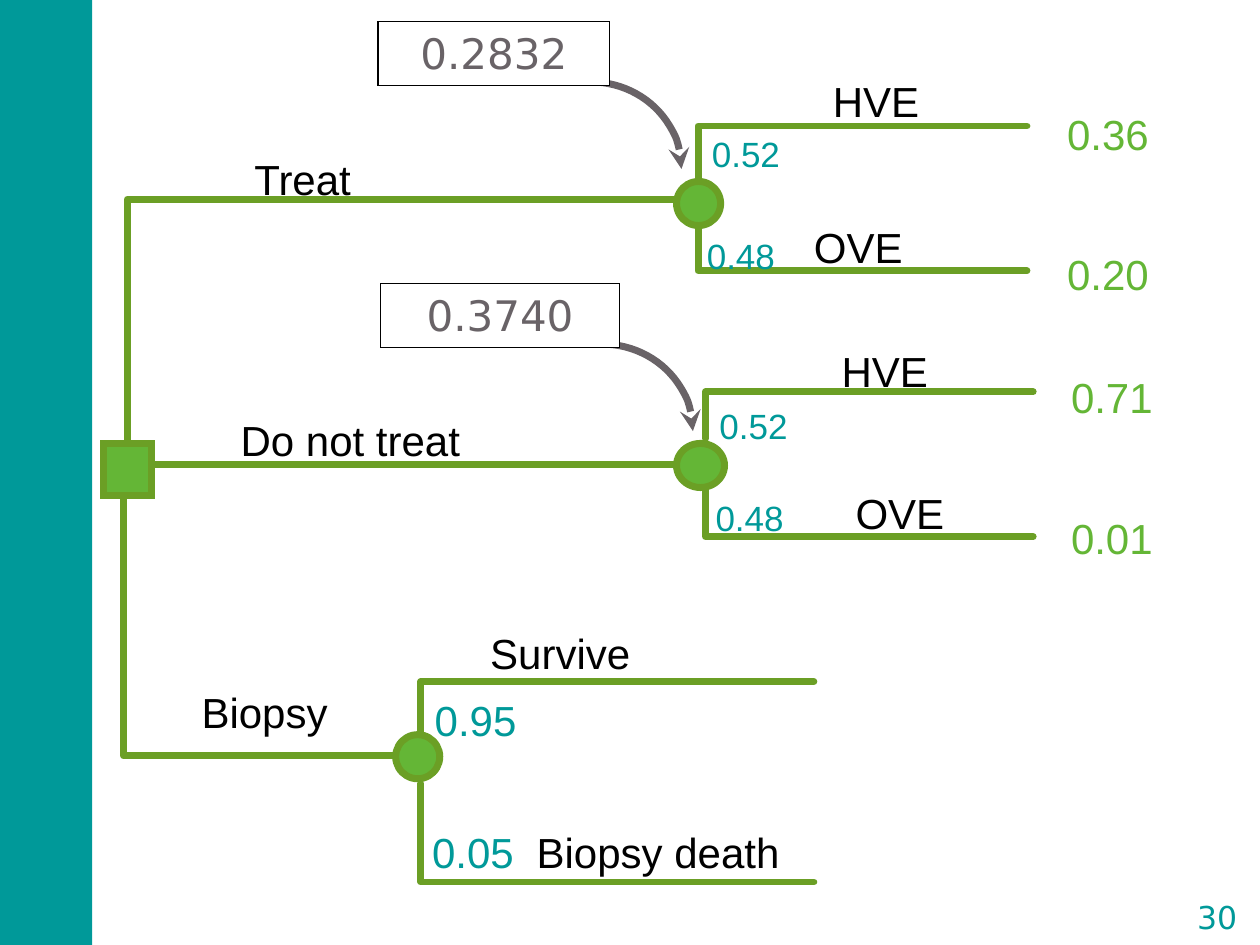
from typing import NamedTuple

from lxml.etree import SubElement
from pptx import Presentation
from pptx.dml.color import RGBColor
from pptx.enum.shapes import MSO_SHAPE
from pptx.enum.text import MSO_ANCHOR, MSO_AUTO_SIZE, PP_ALIGN
from pptx.oxml.ns import qn
from pptx.util import Pt

COLORS = {
    "teal": "009999", "line": "6B9F25", "node": "64B636",
    "grey": "696367", "black": "000000", "white": "FFFFFF",
}


class Elbow(NamedTuple):
    x: float
    start: float
    end: float
    right: float


class Node(NamedTuple):
    kind: MSO_SHAPE
    x: float
    y: float
    w: float
    h: float


class Label(NamedTuple):
    text: str
    x: float
    y: float
    w: float
    color: str = "black"
    size: int = 24
    wrap: bool = True


class Result(NamedTuple):
    text: str
    x: float
    y: float
    w: float
    arc_x: float
    arc_y: float


ELBOWS = [
    # Choices
    Elbow(68.4, 275.8, 265.7, 406.1),
    Elbow(70.6, 275.8, 432, 231.1),
    Elbow(72.7, 272.9, 113.8, 403.2),
    # Outcomes
    Elbow(398.9, 102.2, 72, 586.8),
    Elbow(398.9, 116.6, 154.8, 586.8),
    Elbow(403.2, 250.6, 223.9, 590.4),
    Elbow(403.2, 267.8, 306.7, 590.4),
    Elbow(240.5, 422.6, 389.5, 465.1),
    Elbow(240.5, 447.8, 504, 465.1),
]

NODES = [
    Node(MSO_SHAPE.RECTANGLE, 59, 253.4, 27.4, 29.5),
    Node(MSO_SHAPE.OVAL, 386.6, 103.7, 25.2, 25.2),
    Node(MSO_SHAPE.OVAL, 386.6, 253.4, 27.4, 25.2),
    Node(MSO_SHAPE.OVAL, 226.1, 419.8, 25.2, 25.2),
]

LABELS = [
    # Choices
    Label("Treat", 141.1, 85.7, 64.8, wrap=False),
    Label("Do not treat", 133.2, 234.7, 148.3),
    Label("Biopsy", 110.9, 390.2, 81.4, wrap=False),
    # Outcomes
    Label("HVE", 471.6, 41, 59, wrap=False),
    Label("OVE", 460.8, 124.6, 74.9),
    Label("HVE", 476.6, 195.1, 59, wrap=False),
    Label("OVE", 484.6, 276.5, 74.9),
    Label("Survive", 275.8, 356.4, 126),
    Label("Biopsy death", 302.4, 470.2, 149, wrap=False),
    # Probabilities
    Label("0.52", 402.5, 73.4, 62.6, "teal", 20),
    Label("0.48", 399.6, 131.8, 52.6, "teal", 20),
    Label("0.52", 406.8, 229, 48.2, "teal", 20),
    Label("0.48", 404.6, 281.5, 55.4, "teal", 20),
    Label("0.95", 244.1, 394.6, 71.3, "teal"),
    Label("0.05", 242.6, 470.2, 72.7, "teal"),
    # Utilities
    Label("0.36", 605.5, 59.8, 61.2, "node"),
    Label("0.20", 605.5, 139.7, 61.2, "node"),
    Label("0.71", 607.7, 210.2, 61.2, "node"),
    Label("0.01", 607.7, 290.9, 61.2, "node"),
]

RESULTS = [
    Result("0.2832", 216, 12.2, 132.5, 285.8, 46.8),
    Result("0.3740", 217.4, 162, 136.8, 292.3, 196.6),
]


def style(shape, fill=None, line=None, width=4.0, join="miter", tail=None) -> None:
    shape.shadow.inherit = False
    if fill:
        shape.fill.solid()
        shape.fill.fore_color.rgb = RGBColor.from_string(COLORS[fill])
    else:
        shape.fill.background()
    if not line:
        shape.line.fill.background()
        return
    shape.line.color.rgb = RGBColor.from_string(COLORS[line])
    shape.line.width = Pt(width)
    ln = shape.line._get_or_add_ln()
    if join == "round":
        ln.set("cap", "rnd")
    SubElement(ln, qn("a:" + join))
    if tail:
        SubElement(ln, qn("a:tailEnd")).set("type", tail)


def write(shape, text: str, *, color="black", size=24, font="Arial", wrap=True,
          align=PP_ALIGN.LEFT, anchor=MSO_ANCHOR.TOP, pad=(4.3, 2.2),
          fit=MSO_AUTO_SIZE.SHAPE_TO_FIT_TEXT) -> None:
    frame = shape.text_frame
    frame.word_wrap = wrap
    frame.auto_size = fit
    frame.vertical_anchor = anchor
    frame.margin_left = frame.margin_right = Pt(pad[0])
    frame.margin_top = frame.margin_bottom = Pt(pad[1])
    para = frame.paragraphs[0]
    para.alignment = align
    run = para.add_run()
    run.text = text
    run.font.name = font
    run.font.size = Pt(size)
    run.font.color.rgb = RGBColor.from_string(COLORS[color])


def put(shapes, kind: MSO_SHAPE, x: float, y: float, w: float, h: float):
    return shapes.add_shape(kind, Pt(x), Pt(y), Pt(w), Pt(h))


def draw_elbow(shapes, elbow: Elbow) -> None:
    pen = shapes.build_freeform(Pt(elbow.x), Pt(elbow.start))
    pen.add_line_segments(
        [(Pt(elbow.x), Pt(elbow.end)), (Pt(elbow.right), Pt(elbow.end))],
        close=False)
    style(pen.convert_to_shape(), line="line", join="round")


def draw_label(shapes, label: Label) -> None:
    box = shapes.add_textbox(Pt(label.x), Pt(label.y), Pt(label.w),
                             Pt(label.size * 1.2 + 4.4))
    write(box, label.text, color=label.color, size=label.size, wrap=label.wrap)


def draw_result(shapes, item: Result) -> None:
    arc = put(shapes, MSO_SHAPE.ARC, item.arc_x, item.arc_y, 103.7, 99.4)
    style(arc, line="grey", tail="stealth")
    box = put(shapes, MSO_SHAPE.RECTANGLE, item.x, item.y, item.w, 36.7)
    style(box, "white", "black", 0.75)
    write(box, item.text, color="grey", font="DejaVu Sans",
          align=PP_ALIGN.CENTER, pad=(7.2, 3.6))


def main() -> None:
    deck = Presentation()
    deck.slide_width, deck.slide_height = Pt(720), Pt(540)
    shapes = deck.slides.add_slide(deck.slide_layouts[6]).shapes

    # Side band
    style(put(shapes, MSO_SHAPE.RECTANGLE, -1.4, 0, 54, 540), "teal")

    # Decision tree
    for elbow in ELBOWS:
        draw_elbow(shapes, elbow)
    for node in NODES:
        style(put(shapes, *node), "node", "line")
    for label in LABELS:
        draw_label(shapes, label)

    # Expected values
    for item in RESULTS:
        draw_result(shapes, item)

    # Page number
    page = put(shapes, MSO_SHAPE.DOUBLE_BRACKET, 673.9, 508.3, 43.2, 31)
    page.adjustments[0] = 0.18
    style(page, line="white", width=1.5)
    write(page, "30", color="teal", size=18, font="DejaVu Sans", pad=(0, 0),
          align=PP_ALIGN.CENTER, anchor=MSO_ANCHOR.MIDDLE, fit=MSO_AUTO_SIZE.NONE)

    deck.save("out.pptx")


if __name__ == "__main__":
    main()
